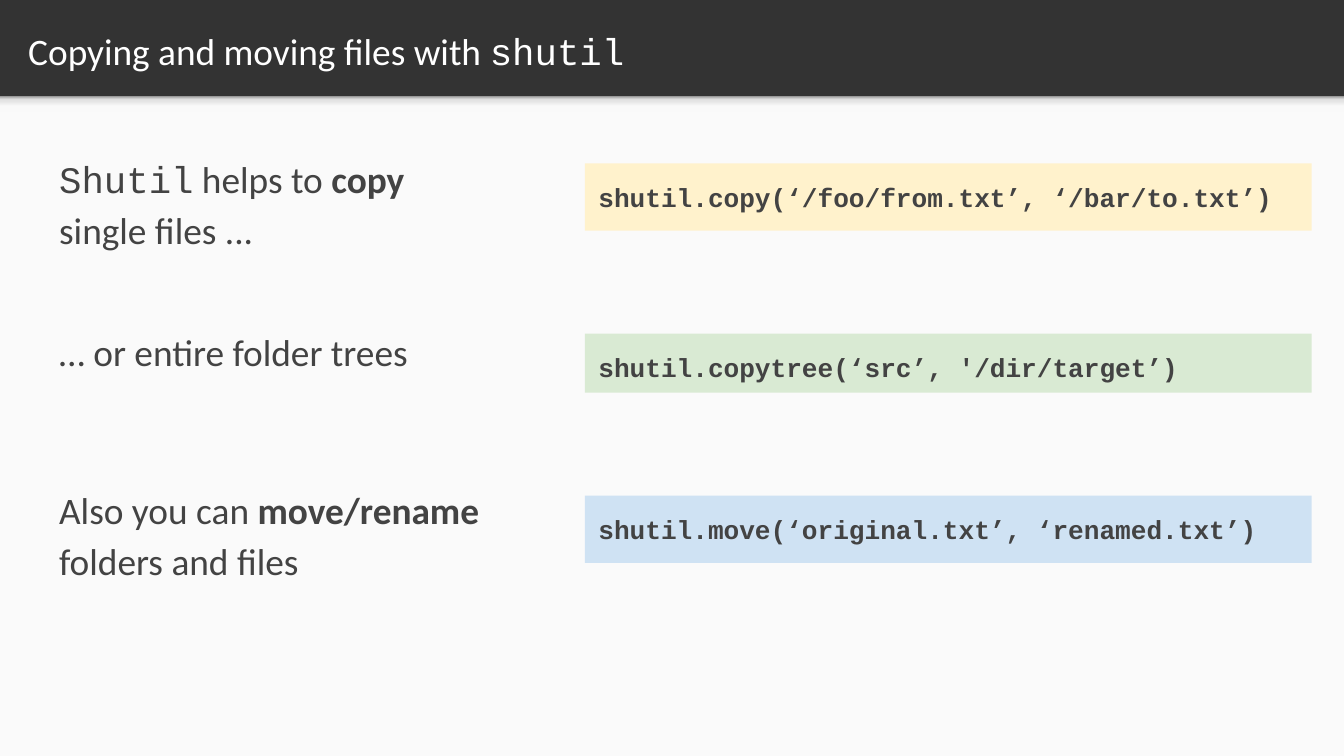
from lxml import etree
from pptx import Presentation
from pptx.dml.color import RGBColor
from pptx.enum.shapes import MSO_SHAPE
from pptx.enum.text import MSO_ANCHOR, MSO_AUTO_SIZE, PP_ALIGN
from pptx.oxml.ns import qn
from pptx.util import Inches, Pt

RECTANGLE = MSO_SHAPE.RECTANGLE
TOP, MIDDLE = MSO_ANCHOR.TOP, MSO_ANCHOR.MIDDLE
NO_AUTOFIT = MSO_AUTO_SIZE.NONE
LEFT = PP_ALIGN.LEFT

SANS, MONO = "Calibri", "Courier New"
COLORS = {
    "header": "333333", "page": "FAFAFA", "title": "FFFFFF", "text": "434343",
    "copy": "FFF2CC", "copytree": "D9EAD3", "move": "CFE2F3",
}
SHADOW_STOPS = [(0, "F9F9F9"), (36, "F9F9F9"), (80, "DEDEDE"), (100, "999999")]

# Runs are (text, font, bold)
TITLE = [("Copying and moving files with ", SANS, False), ("shutil", MONO, False)]
# Description runs, description (top, width, height), code, code (top, height), code colour
EXAMPLES = [
    ([("Shutil", MONO, False), (" helps to ", SANS, False), ("copy", SANS, True),
      (" single files ...", SANS, False)], (2.02, 6.35, 1.52),
     "shutil.copy(‘/foo/from.txt’, ‘/bar/to.txt’)", (2.43, 1), "copy"),
    ([("… or entire folder trees", SANS, False)], (4.6, 8.02, 1.52),
     "shutil.copytree(‘src’, '/dir/target’)", (4.96, 0.88), "copytree"),
    ([("Also you can ", SANS, False), ("move/rename", SANS, True),
      (" folders and files", SANS, False)], (6.94, 8.02, 2.09),
     "shutil.move(‘original.txt’, ‘renamed.txt’)", (7.37, 1), "move"),
]
SLIDE_WIDTH, SLIDE_HEIGHT = 19.99, 11.24
HEADER_HEIGHT = 1.43
DESCRIPTION_LEFT = 0.68
CODE_LEFT, CODE_WIDTH = 8.7, 10.81


def rgb(name):
    return RGBColor.from_string(COLORS[name])


def place(shape, left, top, width, height):
    shape.left, shape.top = Inches(left), Inches(top)
    shape.width, shape.height = Inches(width), Inches(height)


def add_rectangle(slide, left, top, width, height):
    """Add a rectangle without line or shadow; the caller fills it."""
    box = slide.shapes.add_shape(
        RECTANGLE, Inches(left), Inches(top), Inches(width), Inches(height))
    box.shadow.inherit = False
    box.line.fill.background()
    return box


def fill_solid(shape, color):
    shape.fill.solid()
    shape.fill.fore_color.rgb = rgb(color)


def write(shape, runs, size, color, anchor=TOP):
    """Write one left-aligned, unbulleted paragraph into a shape."""
    frame = shape.text_frame
    frame.word_wrap = True
    frame.auto_size = NO_AUTOFIT
    frame.vertical_anchor = anchor
    frame.margin_left = frame.margin_right = Inches(0.2)
    frame.margin_top = frame.margin_bottom = Inches(0.2)
    paragraph = frame.paragraphs[0]
    paragraph.alignment = LEFT
    paragraph.line_spacing = 1.15
    paragraph.space_before = Pt(0)
    properties = paragraph._p.get_or_add_pPr()
    properties.set("marL", "0")
    properties.set("indent", "0")
    etree.SubElement(properties, qn("a:buNone"))
    paragraph.font.size = Pt(size)
    paragraph.font.color.rgb = rgb(color)
    for text, font, bold in runs:
        run = paragraph.add_run()
        run.text = text
        run.font.name = font
        run.font.bold = bold


def add_header_shadow(slide):
    band = add_rectangle(slide, 0, HEADER_HEIGHT, SLIDE_WIDTH, 0.24)
    band.fill.gradient()
    band.fill.gradient_angle = 90
    stops = band._element.spPr.find(".//" + qn("a:gsLst"))
    for stop in list(stops):
        stops.remove(stop)
    for percent, color in SHADOW_STOPS:
        stop = etree.SubElement(stops, qn("a:gs"), pos=str(percent * 1000))
        etree.SubElement(stop, qn("a:srgbClr"), val=color)


def main():
    deck = Presentation()
    deck.slide_width, deck.slide_height = Inches(SLIDE_WIDTH), Inches(SLIDE_HEIGHT)
    slide = deck.slides.add_slide(deck.slide_layouts.get_by_name("Comparison"))
    fill_solid(slide.background, "header")
    title, *descriptions = slide.placeholders
    spare = descriptions.pop()
    spare._element.getparent().remove(spare._element)

    page = add_rectangle(slide, 0, HEADER_HEIGHT, SLIDE_WIDTH, SLIDE_HEIGHT - HEADER_HEIGHT)
    fill_solid(page, "page")
    add_header_shadow(slide)

    place(title, 0.22, 0.04, 19.29, 1.32)
    write(title, TITLE, 40, "title", MIDDLE)

    for description, example in zip(descriptions, EXAMPLES):
        runs, (top, width, height), code, (code_top, code_height), color = example
        place(description, DESCRIPTION_LEFT, top, width, height)
        write(description, runs, 40, "text")
        # Bring the description in front of the page background
        slide.shapes._spTree.append(description._element)
        code_box = add_rectangle(slide, CODE_LEFT, code_top, CODE_WIDTH, code_height)
        fill_solid(code_box, color)
        write(code_box, [(code, MONO, True)], 28, "text")

    deck.save("out.pptx")


if __name__ == "__main__":
    main()
